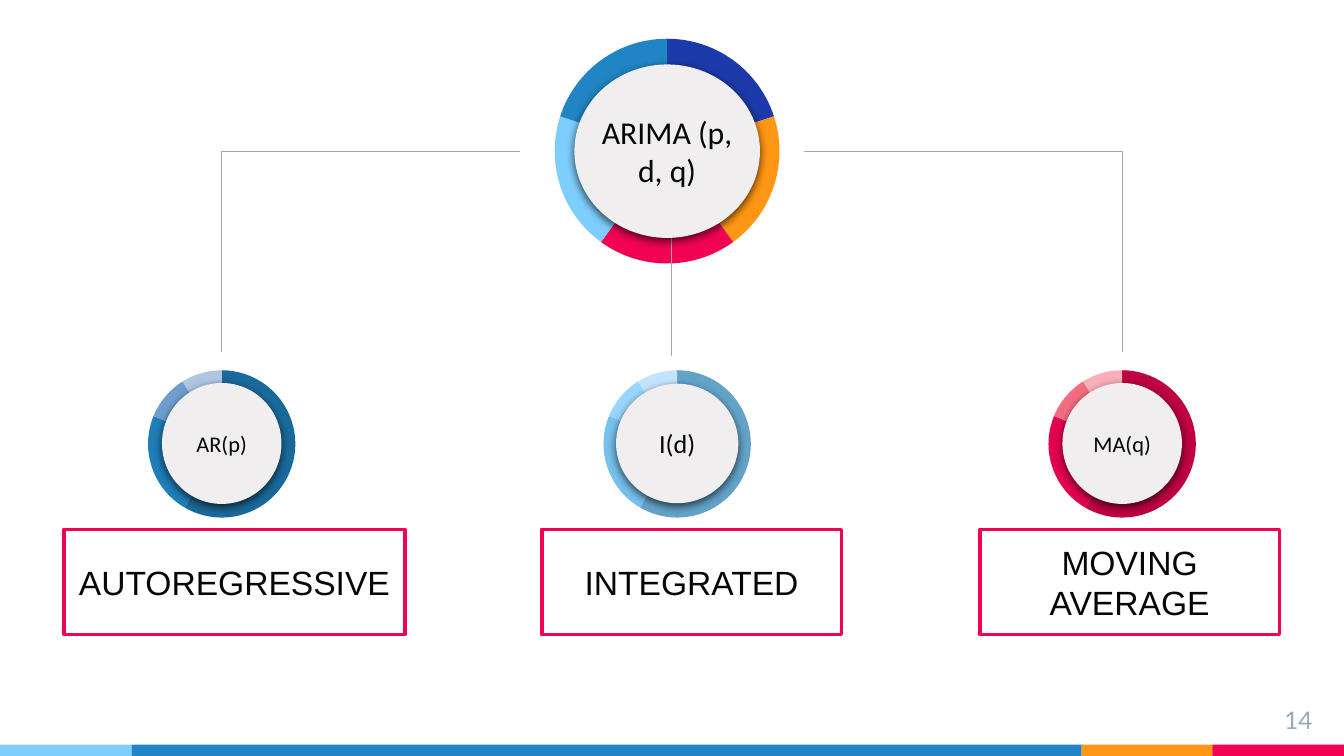
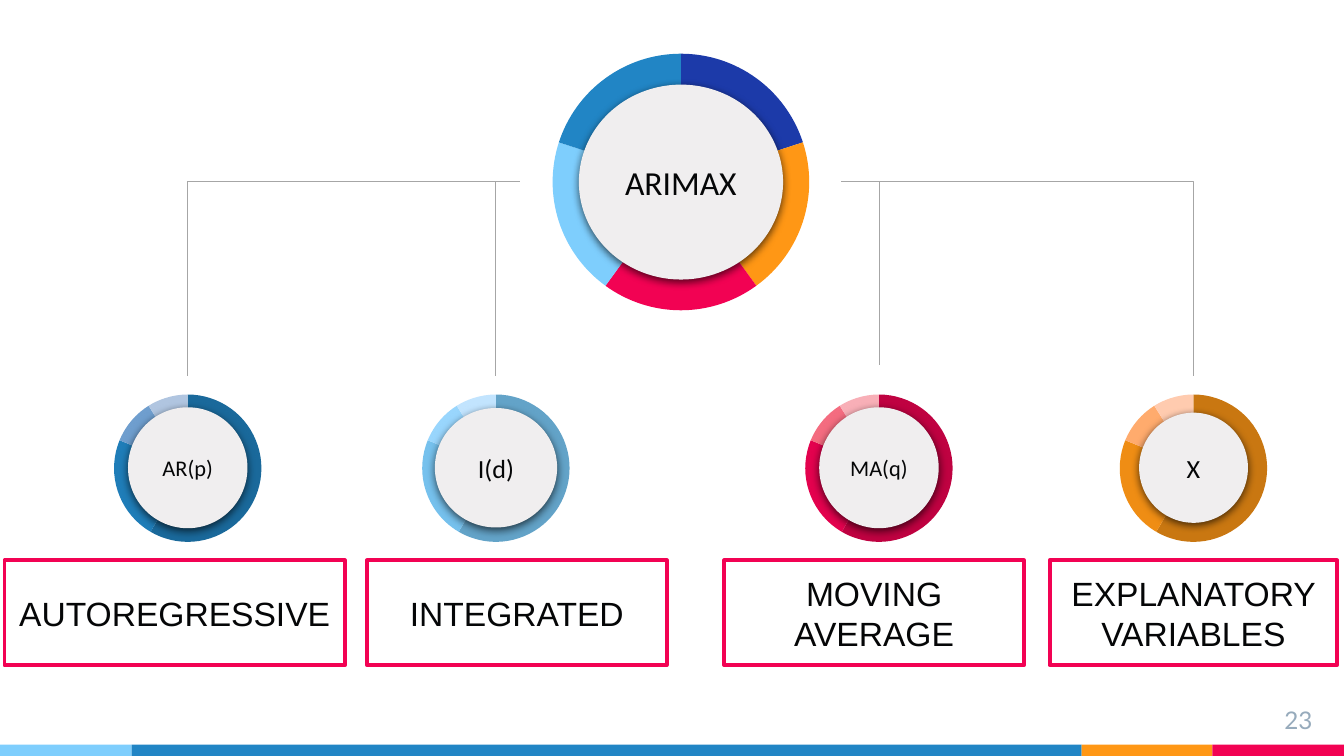
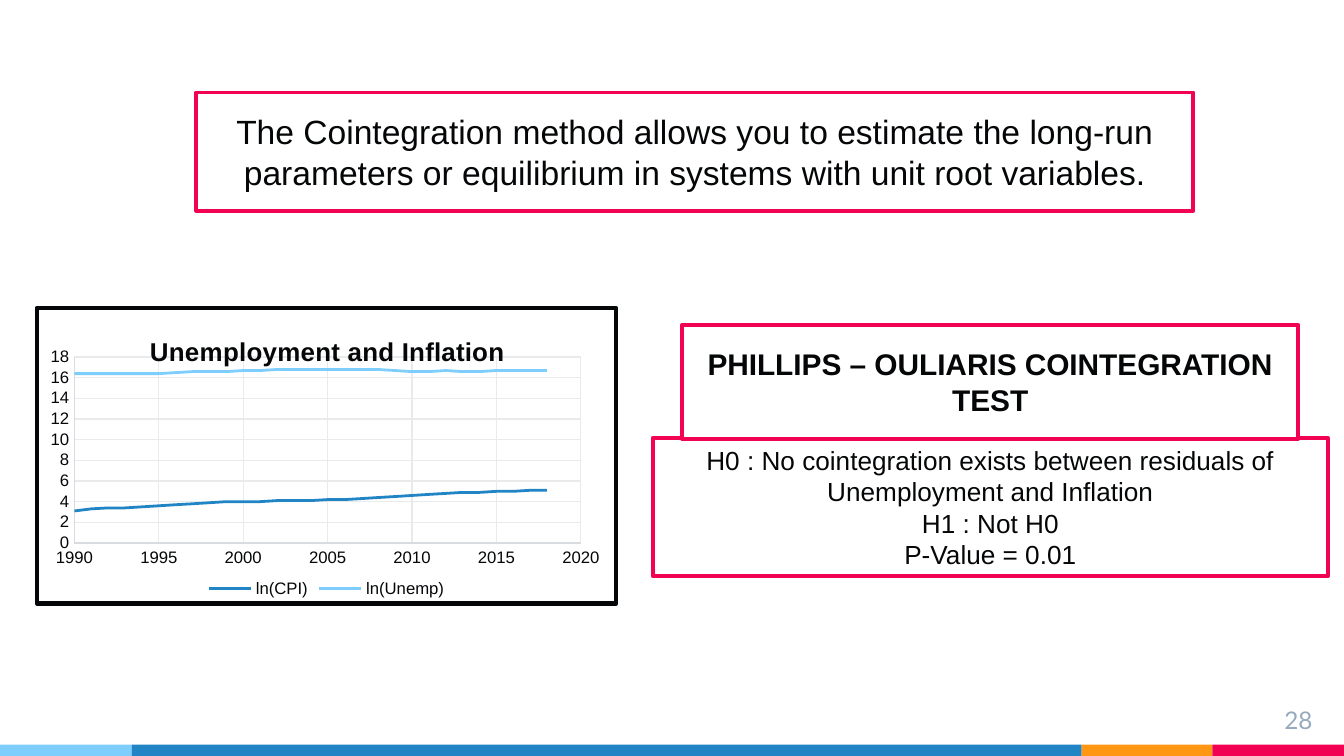
from lxml import etree
from pptx import Presentation
from pptx.chart.data import CategoryChartData, XyChartData
from pptx.dml.color import RGBColor
from pptx.enum.chart import XL_CHART_TYPE, XL_LEGEND_POSITION, XL_TICK_MARK
from pptx.enum.shapes import MSO_CONNECTOR, MSO_SHAPE
from pptx.enum.text import MSO_ANCHOR, PP_ALIGN
from pptx.oxml import parse_xml
from pptx.oxml.ns import nsdecls, qn
from pptx.util import Pt

PIE, SCATTER = XL_CHART_TYPE.PIE, XL_CHART_TYPE.XY_SCATTER_LINES_NO_MARKERS
BOTTOM, NO_TICK = XL_LEGEND_POSITION.BOTTOM, XL_TICK_MARK.NONE
STRAIGHT, ELBOW = MSO_CONNECTOR.STRAIGHT, MSO_CONNECTOR.ELBOW
RECT, OVAL = MSO_SHAPE.RECTANGLE, MSO_SHAPE.OVAL
MIDDLE, TOP = MSO_ANCHOR.MIDDLE, MSO_ANCHOR.TOP
CENTER, RIGHT = PP_ALIGN.CENTER, PP_ALIGN.RIGHT

INK, WHITE, GRAY, SLATE = "050607", "FFFFFF", "A6A6A6", "97ABBC"
NAVY, BLUE, SKY, ORANGE, RED = "1C3AA9", "2185C5", "7ECEFD", "FF9715", "F20253"
BANDS = [(0, 70.5, SKY), (70.5, 509, BLUE), (579.5, 70, ORANGE), (649.5, 70.5, RED)]
ROOT_HUES = [NAVY, ORANGE, RED, SKY, BLUE]
SHARES = [59, 23, 10, 9]
KINDS = {
    "AR(p)": ("AUTOREGRESSIVE", 12, (64, 64.8), ["1A699B", "1F7DB8", "6F9ECE", "B0C5E0"]),
    "I(d)": ("INTEGRATED", 14, (65.5, 64), ["63A3C8", "76C1ED", "99D6FD", "C2E4FE"]),
    "MA(q)": ("MOVING AVERAGE", 12, (64, 64.8), ["BF0241", "E3024E", "F46C80", "F8AFB7"]),
    "X": ("EXPLANATORY VARIABLES", 14, (58.3, 59), ["C97711", "EF8D14", "FFAB6D", "FFCBAF"]),
}
CPI = [3.1, 3.3, 3.4, 3.4, 3.5, 3.6, 3.7, 3.8, 3.9, 4, 4, 4, 4.1, 4.1, 4.1,
       4.2, 4.2, 4.3, 4.4, 4.5, 4.6, 4.7, 4.8, 4.9, 4.9, 5, 5, 5.1, 5.1]
UNEMP = [16.4, 16.4, 16.4, 16.4, 16.4, 16.4, 16.5, 16.6, 16.6, 16.6, 16.7, 16.7,
         16.8, 16.8, 16.8, 16.8, 16.8, 16.8, 16.8, 16.7, 16.6, 16.6, 16.7, 16.6,
         16.6, 16.7, 16.7, 16.7, 16.7]


def tint(code):
    """Turn a hex string into a colour."""
    return RGBColor.from_string(code)


def pts(*nums):
    """Turn numbers into lengths in points."""
    return [Pt(num) for num in nums]


def style(font, size, hue=INK, face="Arial", bold=False):
    """Set the look of a font."""
    font.size, font.name, font.bold = Pt(size), face, bold
    font.color.rgb = tint(hue)


def stroke(line, hue, width):
    """Set the colour and width of a line."""
    line.color.rgb, line.width = tint(hue), Pt(width)


def write(shape, text, align=CENTER, anchor=MIDDLE, pad=(7.2, 3.6), **look):
    """Fill a shape with one paragraph for each line of text."""
    frame = shape.text_frame
    frame.word_wrap, frame.vertical_anchor = True, anchor
    frame.margin_left = frame.margin_right = Pt(pad[0])
    frame.margin_top = frame.margin_bottom = Pt(pad[1])
    for i, line in enumerate(text.split("\n")):
        para = frame.add_paragraph() if i else frame.paragraphs[0]
        para.alignment = align
        run = para.add_run()
        run.text = line
        style(run.font, **look)


def block(slide, kind, box, hue):
    """Add a plain filled shape."""
    shape = slide.shapes.add_shape(kind, *pts(*box))
    shape.shadow.inherit = False
    shape.fill.solid()
    shape.fill.fore_color.rgb = tint(hue)
    shape.line.fill.background()
    return shape


def card(slide, box, text, size=18, bold=False):
    """Add a white box with a red frame."""
    shape = block(slide, RECT, box, WHITE)
    stroke(shape.line, RED, 2)
    write(shape, text, size=size, bold=bold)


def base(deck, page):
    """Add a slide with its colour bands and page number."""
    slide = deck.slides.add_slide(deck.slide_layouts[6])
    for left, width, hue in BANDS:
        block(slide, RECT, (left, 399, width, 6), hue)
    note = slide.shapes.add_textbox(*pts(667, 370.5, 43.2, 24.5))
    write(note, page, RIGHT, TOP, (7.2, 7.2), size=13, hue=SLATE, face="Lato")
    return slide


def place(node, spot, sizes=(), index=0):
    """Fix the place of a chart part as shares of the chart."""
    for old in node.findall(qn("c:layout")):
        node.remove(old)
    lay = etree.Element(qn("c:layout"))
    man = etree.SubElement(lay, qn("c:manualLayout"))
    rows = [("xMode", "edge"), ("yMode", "edge"), *zip("xy", spot), *zip("wh", sizes)]
    if sizes:
        rows.insert(0, ("layoutTarget", "inner"))
    for tag, val in rows:
        etree.SubElement(man, qn("c:" + tag)).set("val", str(val))
    node.insert(index, lay)


def pie(slide, mid, top, width, height, dia, vals, hues):
    """Add a pie of a given diameter in the middle of its box."""
    data = CategoryChartData()
    data.categories = [str(i) for i in range(1, len(vals) + 1)]
    data.add_series("Series 1", vals)
    box = pts(mid - width / 2, top, width, height)
    chart = slide.shapes.add_chart(PIE, *box, data).chart
    chart.has_legend = chart.has_title = False
    style(chart.font, 10, "677480")
    for i, hue in enumerate(hues):
        fill = chart.plots[0].series[0].points[i].format.fill
        fill.solid()
        fill.fore_color.rgb = tint(hue)
    wide, high = round(dia / width, 3), round(dia / height, 3)
    area = chart._chartSpace.chart.plotArea
    place(area, ((1 - wide) / 2, (1 - high) / 2), (wide, high))


def hub(slide, mid, level, size, text, points):
    """Add a shaded disc around a centre point."""
    wide, high = size
    disc = block(slide, OVAL, (mid - wide / 2, level - high / 2, wide, high), "F0EEEF")
    effect = disc._element.spPr.find(qn("a:effectLst"))
    effect.append(parse_xml(
        f'<a:outerShdw {nsdecls("a")} blurRad="{Pt(4.5)}" dist="{Pt(1.5)}" dir="5400000">'
        '<a:srgbClr val="000000"><a:alpha val="63000"/></a:srgbClr></a:outerShdw>'))
    write(disc, text, pad=(0, 0), size=points, face="Calibri")


def link(slide, start, end):
    """Join two points, turning once where they are not in line."""
    bent = start[0] != end[0]
    line = slide.shapes.add_connector(ELBOW if bent else STRAIGHT, *pts(*start, *end))
    props = line._element.spPr
    if bent:
        props.find(qn("a:prstGeom")).set("prst", "bentConnector2")
    stroke(line.line, GRAY, 0.5)
    etree.SubElement(props, qn("a:effectLst"))


def root(slide, mid, top, size, dia, disc, text, points, links):
    """Add the main wheel with the lines that leave it."""
    pie(slide, mid, top, *size, dia, [20] * 5, ROOT_HUES)
    for start, end in links:
        link(slide, start, end)
    hub(slide, mid, top + size[1] / 2, disc, text, points)


def branch(slide, mid, top, name, left, width, drop):
    """Add a small wheel and the label below it."""
    label, points, disc, hues = KINDS[name]
    pie(slide, mid, top, 146.9, 98.6, 79, SHARES, hues)
    hub(slide, mid, top + 49, disc, name, points)
    card(slide, (left, top + drop, width, 56.2), label)


def trend(slide, box):
    """Add the chart of both series over the years."""
    data = XyChartData()
    for name, vals in (("ln(CPI)", CPI), ("ln(Unemp)", UNEMP)):
        series = data.add_series(name)
        for year, val in enumerate(vals, 1990):
            series.add_data_point(year, val)
    chart = slide.shapes.add_chart(SCATTER, *pts(*box), data).chart
    style(chart.font, 10, "677480")
    for series, hue in zip(chart.plots[0].series, (BLUE, SKY)):
        series.smooth = False
        stroke(series.format.line, hue, 1.5)
    scales = ((chart.category_axis, 1990, 2020, 5), (chart.value_axis, 0, 18, 2))
    for axis, low, high, step in scales:
        axis.minimum_scale, axis.maximum_scale, axis.major_unit = low, high, step
        axis.major_tick_mark = axis.minor_tick_mark = NO_TICK
        axis.has_major_gridlines = True
        stroke(axis.major_gridlines.format.line, "E8EAEC", 0.75)
        stroke(axis.format.line, "D8DCE0", 0.75)
        style(axis.tick_labels.font, 9)
        axis.tick_labels.number_format = "General"
        axis.tick_labels.number_format_is_linked = False
    chart.has_legend = True
    chart.legend.position, chart.legend.include_in_layout = BOTTOM, False
    style(chart.legend.font, 9)
    para = chart.chart_title.text_frame.paragraphs[0]
    run = para.add_run()
    run.text = "Unemployment and Inflation"
    style(run.font, 14, bold=True)
    place(chart.chart_title._element, (0.187, 0.075), index=1)
    space = chart._chartSpace
    place(space.chart.plotArea, (0.065, 0.167), (0.874, 0.629))
    space.chart.addnext(parse_xml(
        f'<c:spPr {nsdecls("c", "a")}><a:solidFill><a:srgbClr val="{WHITE}"/></a:solidFill>'
        f'<a:ln w="{Pt(2.25)}"><a:solidFill><a:srgbClr val="{INK}"/></a:solidFill></a:ln></c:spPr>'))


def arima(deck):
    """Build the three part tree."""
    slide = base(deck, "14")
    top, level = 188.6, 81.2
    links = [((430.6, level), (601.2, top)), ((373, 86.4), (360, 190.8)),
             ((278.6, level), (118.8, top))]
    root(slide, 357.4, 10.8, (157.7, 140.4), 120.5, (99.4, 92.9),
         "ARIMA (p, d, q)", 17, links)
    for mid, name, left, width in ((118.8, "AR(p)", 34.4, 182.4),
                                   (362.8, "I(d)", 290.2, 160.6),
                                   (601.2, "MA(q)", 524.9, 160.6)):
        branch(slide, mid, top, name, left, width, 95.1)


def arimax(deck):
    """Build the four part tree."""
    slide = base(deck, "23")
    top, level = 201.6, 97.2
    links = [((450.7, level), (639.4, top)), ((470.9, level), (470.9, 195.8)),
             ((278.6, level), (265.7, top)), ((278.6, level), (100.6, top))]
    root(slide, 364.8, 18.7, (172.1, 157.7), 137.5, (109.4, 104.4), "ARIMAX", 18, links)
    for mid, name, left, width in ((100.6, "AR(p)", 2.4, 182.4),
                                   (265.7, "I(d)", 196.6, 160.6),
                                   (470.9, "MA(q)", 388, 160.6),
                                   (639.4, "X", 562.3, 154)):
        branch(slide, mid, top, name, left, width, 98.6)


def test(deck):
    """Build the slide on the cointegration test."""
    slide = base(deck, "28")
    card(slide, (105.1, 49.5, 534.2, 63.4),
         "The Cointegration method allows you to estimate the long-run parameters "
         "or equilibrium in systems with unit root variables.")
    card(slide, (349.8, 234.6, 361.6, 74.2),
         "H0 : No cointegration exists between residuals of Unemployment and Inflation\n"
         "H1 : Not H0\nP-Value = 0.01", 14)
    trend(slide, (18.6, 163.8, 312.6, 160.6))
    card(slide, (365.5, 174, 330, 61.2), "PHILLIPS – OULIARIS COINTEGRATION TEST", 16, True)


def main():
    """Build and save the deck."""
    deck = Presentation()
    deck.slide_width, deck.slide_height = pts(720, 405)
    for build in (arima, arimax, test):
        build(deck)
    deck.save("out.pptx")


if __name__ == "__main__":
    main()
